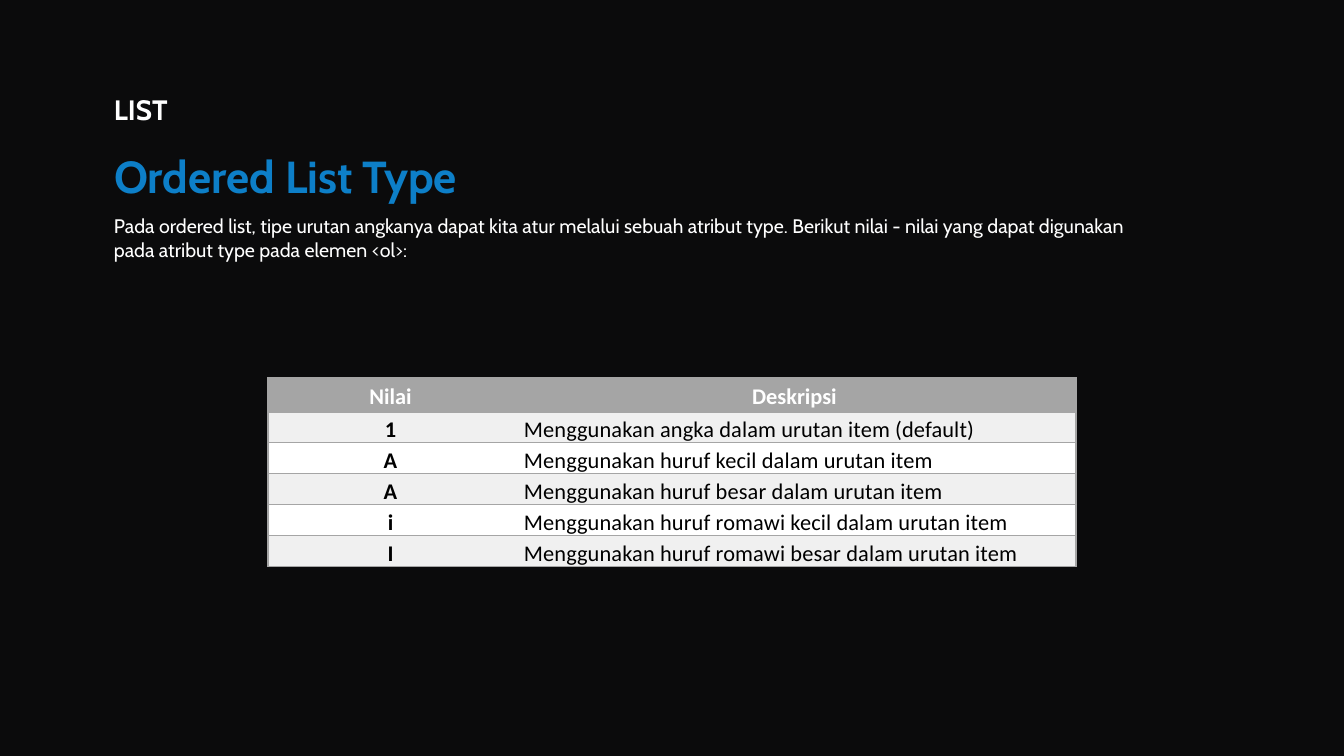
from lxml.etree import SubElement
from pptx import Presentation
from pptx.dml.color import RGBColor
from pptx.enum.text import MSO_ANCHOR as Anchor, MSO_AUTO_SIZE as AutoSize, PP_ALIGN as Align
from pptx.oxml import parse_xml
from pptx.oxml.ns import nsdecls, qn
from pptx.util import Emu, Pt

EMU_PER_PX = 914400 / 100.8
TITLE_ONLY = 5
NO_GRID_STYLE = "{2D5ABB26-0587-4C30-8999-92F81FD0307C}"
COLORS = {
    "background": "0B0B0C",
    "white": "FFFFFF",
    "black": "000000",
    "blue": "0D7FC8",
    "gray": "A5A5A5",
    "band": "F0F0F0",
}
HEADERS = ("Nilai", "Deskripsi")
TYPES = (
    ("1", "Menggunakan angka dalam urutan item (default)"),
    ("A", "Menggunakan huruf kecil dalam urutan item"),
    ("A", "Menggunakan huruf besar dalam urutan item"),
    ("i", "Menggunakan huruf romawi kecil dalam urutan item"),
    ("I", "Menggunakan huruf romawi besar dalam urutan item"),
)


def px(value):
    return Emu(round(value * EMU_PER_PX))


def color(name):
    return RGBColor.from_string(COLORS[name])


class ListSlide:
    heading_font = "Cabin"
    table_font = "Calibri"

    def __init__(self, deck):
        self.page = deck.slides.add_slide(deck.slide_layouts[TITLE_ONLY])
        fill = self.page.background.fill
        fill.solid()
        fill.fore_color.rgb = color("background")

    def add_span(self, para, text, font, size, ink, bold=False):
        span = para.add_run()
        span.text = text
        span.font.name = font
        span.font.size = Pt(size)
        span.font.bold = bold
        span.font.color.rgb = color(ink)
        return span

    def fill_box(self, box, area, text, size, ink, bold, wrap):
        box.left, box.top, box.width, box.height = map(px, area)
        frame = box.text_frame
        frame.word_wrap = wrap
        frame.auto_size = AutoSize.SHAPE_TO_FIT_TEXT
        frame.vertical_anchor = Anchor.TOP
        para = frame.paragraphs[0]
        para.alignment = Align.LEFT
        self.add_span(para, text, self.heading_font, size, ink, bold)

    def title(self, area, text, size, ink):
        self.fill_box(self.page.shapes.title, area, text, size, ink, True, False)

    def text(self, area, text, size, ink, bold=False, wrap=False):
        box = self.page.shapes.add_textbox(*map(px, area))
        self.fill_box(box, area, text, size, ink, bold, wrap)

    def borders(self, cell, sides):
        """Draw thin gray lines on the given sides, in L, R, T, B order."""
        properties = cell._tc.get_or_add_tcPr()
        for place, side in enumerate(sides):
            line = parse_xml(f'<a:ln{side} {nsdecls("a")} w="{Pt(1)}"/>')
            solid = SubElement(line, qn("a:solidFill"))
            SubElement(solid, qn("a:srgbClr"), val=COLORS["gray"])
            properties.insert(place, line)

    def cell(self, cell, text, fill, ink, bold, align, header):
        cell.fill.solid()
        cell.fill.fore_color.rgb = color(fill)
        cell.margin_left = cell.margin_right = px(11)
        cell.margin_top = cell.margin_bottom = 0
        cell.vertical_anchor = Anchor.MIDDLE if header else Anchor.TOP
        para = cell.text_frame.paragraphs[0]
        para.alignment = align
        para.line_spacing = 1.15
        if not header:
            para.space_before = para.space_after = Pt(3)
        span = self.add_span(para, text, self.table_font, 16, ink, bold)
        if not bold:
            span._r.get_or_add_rPr().set("spc", "10")

    def table(self, left, top, widths, header_height, row_height, headers, rows):
        heights = [header_height] + [row_height] * len(rows)
        area = (left, top, sum(widths), sum(heights))
        frame = self.page.shapes.add_table(len(heights), len(widths), *map(px, area))
        table = frame.table
        table.first_row = table.horz_banding = False
        table._tbl.tblPr.find(qn("a:tableStyleId")).text = NO_GRID_STYLE
        for column, width in zip(table.columns, widths):
            column.width = px(width)
        for row, height in zip(table.rows, heights):
            row.height = px(height)
        for r, texts in enumerate((headers, *rows)):
            header = r == 0
            fill = "gray" if header else ("white", "band")[r % 2]
            ink = "white" if header else "black"
            for c, text in enumerate(texts):
                centered = header or c == 0
                align = Align.CENTER if centered else Align.LEFT
                cell = table.cell(r, c)
                self.cell(cell, text, fill, ink, centered, align, header)
                self.borders(cell, "LTB" if c == 0 else "RTB")


def main():
    deck = Presentation()
    deck.slide_width, deck.slide_height = px(1344), px(756)
    slide = ListSlide(deck)
    slide.text((104, 88, 76, 44), "LIST", 20, "white", bold=True)
    slide.title((104, 144, 398, 65), "Ordered List Type", 32, "blue")
    slide.text(
        (104, 209, 1073, 57),
        "Pada ordered list, tipe urutan angkanya dapat kita atur melalui sebuah atribut type. "
        "Berikut nilai - nilai yang dapat digunakan pada atribut type pada elemen <ol>:",
        14, "white", wrap=True,
    )
    slide.table(268, 378, (245, 563), 34, 29, HEADERS, TYPES)
    deck.save("out.pptx")


if __name__ == "__main__":
    main()
